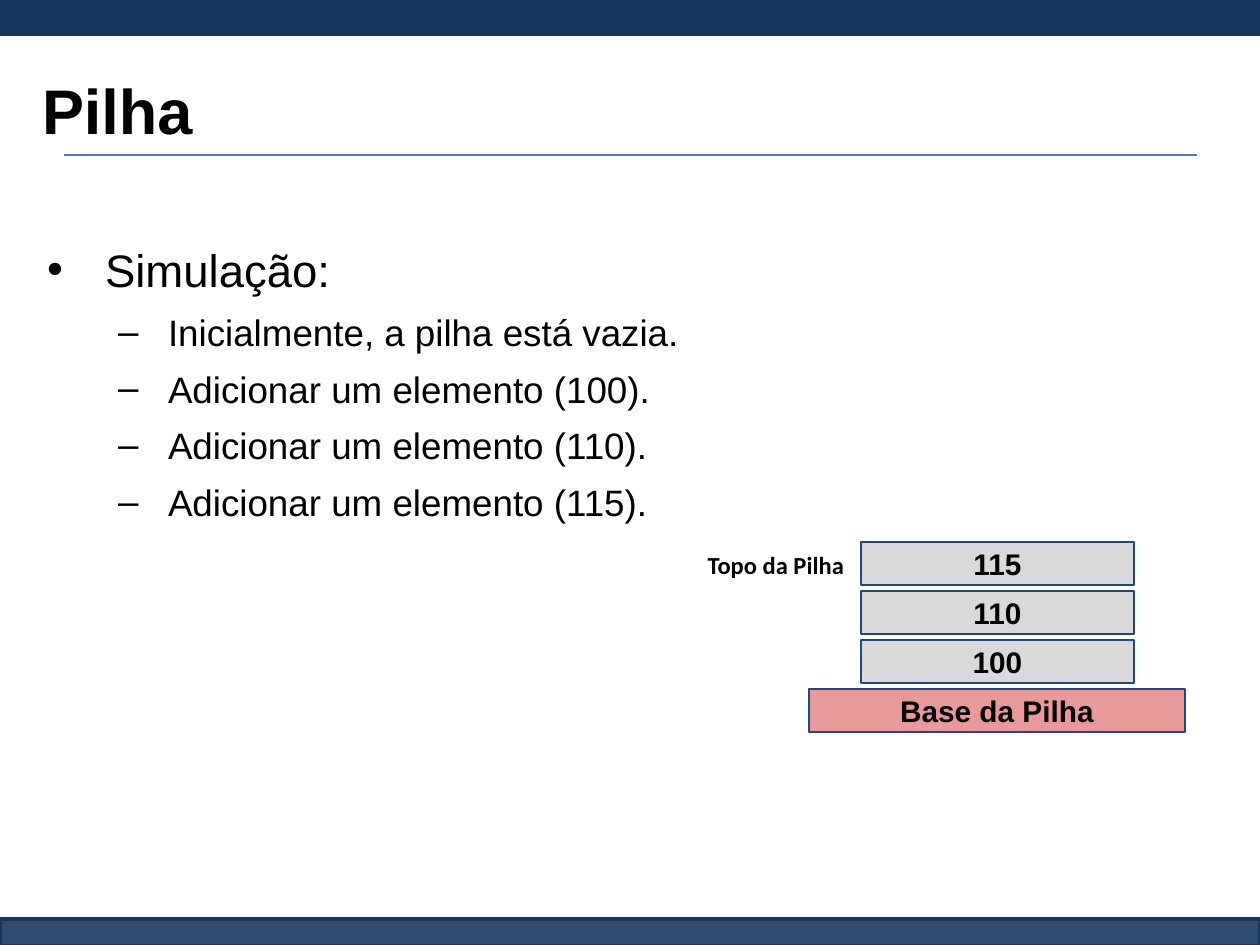
import pptx
import pptx.util
import pptx.dml.color
import pptx.enum.shapes
import pptx.enum.text
import pptx.oxml.ns
from lxml import etree

SCALE = 914400 / 126
ALIGN = pptx.enum.text.PP_ALIGN
ANCHOR = pptx.enum.text.MSO_ANCHOR
NAVY, EDGE, GREY, ROSE = "17365D", "1F497D", "D9D9D9", "EA9999"


def px(*lengths):
    return [pptx.util.Emu(round(length * SCALE)) for length in lengths]


def color(value):
    return pptx.dml.color.RGBColor.from_string(value)


deck = pptx.Presentation()
deck.slide_width, deck.slide_height = px(1260, 945)
slide = deck.slides.add_slide(deck.slide_layouts[5])
shapes = slide.shapes
inset = px(13)[0]
margins = dict.fromkeys(["margin_left", "margin_right", "margin_top", "margin_bottom"], inset)

bars = []
for top, height in [(919, 27), (0, 36)]:
    bar = shapes.add_shape(pptx.enum.shapes.MSO_SHAPE.RECTANGLE, *px(0, top, 1260, height))
    bar.shadow.inherit = False
    bar.fill.solid()
    bar.fill.fore_color.rgb = color(NAVY)
    bars.append(bar)
footer, header = bars
header.line.fill.background()
footer.line.color.rgb = color(NAVY)
footer.line.width = pptx.util.Pt(2)
footer_fill = footer._element.spPr.find(".//" + pptx.oxml.ns.qn("a:srgbClr"))
etree.SubElement(footer_fill, pptx.oxml.ns.qn("a:alpha"), val="89000")

rule = shapes.add_connector(pptx.enum.shapes.MSO_CONNECTOR.STRAIGHT, *px(64, 155, 1197, 155))
rule.line.color.rgb = color("4A7DBA")
rule.line.width = pptx.util.Pt(0.75)
etree.SubElement(rule._element.spPr, pptx.oxml.ns.qn("a:effectLst"))

title = shapes.title
title.left, title.top, title.width, title.height = px(29, 36, 1201, 147)
title.text = "Pilha"
steps = shapes.add_textbox(*px(29, 159, 1201, 748))
step_lines = [
    (0, "Simulação:"),
    (1, "Inicialmente, a pilha está vazia."),
    (1, "Adicionar um elemento (100)."),
    (1, "Adicionar um elemento (110)."),
    (1, "Adicionar um elemento (115)."),
]
levels = [(26, "•", 63, -58, 0), (21, "–", 126, -50, 7.3)]
steps.text_frame.text = "\n".join(text for _, text in step_lines)
for paragraph, (level, _) in zip(steps.text_frame.paragraphs, step_lines):
    size, bullet, indent, hanging, gap = levels[level]
    paragraph.level = level
    paragraph.space_before = pptx.util.Pt(gap)
    paragraph.font.size = pptx.util.Pt(size)
    properties = paragraph._p.get_or_add_pPr()
    properties.set("marL", str(px(indent)[0]))
    properties.set("indent", str(px(hanging)[0]))
    font_mark = etree.Element(pptx.oxml.ns.qn("a:buFont"), typeface="Arial")
    bullet_mark = etree.Element(pptx.oxml.ns.qn("a:buChar"), char=bullet)
    place = list(properties).index(properties.find(pptx.oxml.ns.qn("a:defRPr")))
    properties.insert(place, font_mark)
    properties.insert(place + 1, bullet_mark)

top_label = shapes.add_textbox(*px(571, 537, 286, 55))
top_label.text_frame.text = "Topo da Pilha"

texts = [
    (title, 36, "Arial", True, ALIGN.LEFT, ANCHOR.MIDDLE),
    (steps, None, "Arial", False, ALIGN.LEFT, ANCHOR.TOP),
    (top_label, 14, "Calibri", True, ALIGN.RIGHT, ANCHOR.TOP),
]
stack = [
    ("115", 861, 273, GREY),
    ("110", 861, 273, GREY),
    ("100", 861, 273, GREY),
    ("Base da Pilha", 809, 376, ROSE),
]
for row, (text, left, width, fill) in enumerate(stack):
    box = shapes.add_shape(
        pptx.enum.shapes.MSO_SHAPE.RECTANGLE, *px(left, 542 + 49 * row, width, 43)
    )
    box.shadow.inherit = False
    box.fill.solid()
    box.fill.fore_color.rgb = color(fill)
    box.line.color.rgb = color(EDGE)
    box.line.width = pptx.util.Pt(0.75)
    box.text_frame.text = text
    texts.append((box, 17, "Arial", True, ALIGN.CENTER, ANCHOR.MIDDLE))

for holder, size, face, bold, alignment, anchor in texts:
    frame = holder.text_frame
    frame_format = {**margins, "word_wrap": True, "vertical_anchor": anchor}
    for name, value in frame_format.items():
        setattr(frame, name, value)
    for paragraph in frame.paragraphs:
        paragraph.alignment = alignment
        font = paragraph.runs[0].font
        font_format = {
            "name": face,
            "bold": bold,
            "size": pptx.util.Pt(size) if size else paragraph.font.size,
        }
        for name, value in font_format.items():
            setattr(font, name, value)
        font.color.rgb = color("000000")
steps.text_frame.margin_top = px(83)[0]

deck.save("out.pptx")
